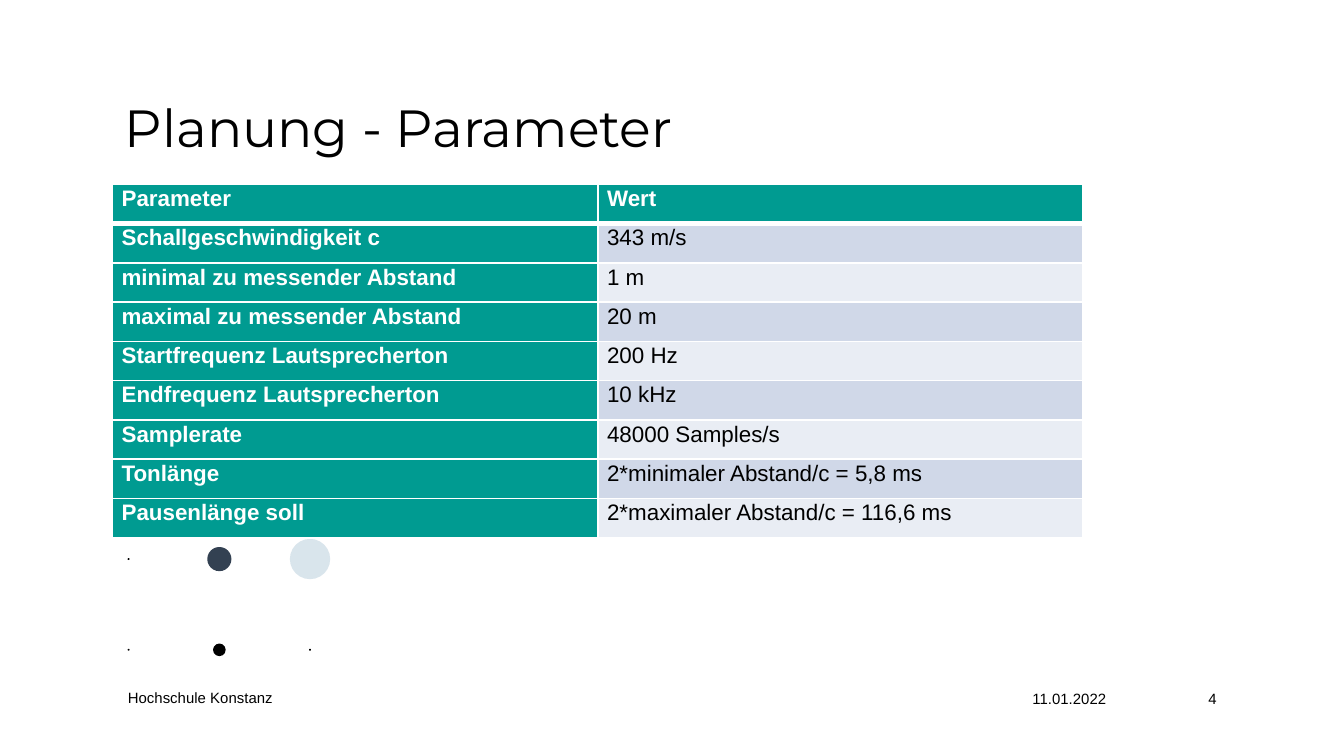
from lxml import etree
from pptx import Presentation
from pptx.dml.color import RGBColor
from pptx.enum.shapes import MSO_SHAPE
from pptx.enum.text import MSO_ANCHOR
from pptx.oxml.ns import qn
from pptx.util import Inches, Pt

OVAL = MSO_SHAPE.OVAL
TOP, MIDDLE = MSO_ANCHOR.TOP, MSO_ANCHOR.MIDDLE

COLORS = {
    "ink": "000000", "paper": "FFFFFF", "teal": "009B91", "navy": "334152",
    "mist": "D9E5EC", "odd": "D0D8E8", "even": "E9EDF4",
}
ROWS = [
    ("Parameter", "Wert"),
    ("Schallgeschwindigkeit c", "343 m/s"),
    ("minimal zu messender Abstand", "1 m"),
    ("maximal zu messender Abstand", "20 m"),
    ("Startfrequenz Lautsprecherton", "200 Hz"),
    ("Endfrequenz Lautsprecherton", "10 kHz"),
    ("Samplerate", "48000 Samples/s"),
    ("Tonlänge", "2*minimaler Abstand/c = 5,8 ms"),
    ("Pausenlänge soll", "2*maximaler Abstand/c = 116,6 ms"),
]
DOTS = [
    [(0.14, "ink"), (1.8, "navy"), (3, "mist")],
    [(0.14, "ink"), (0.94, "ink"), (0.14, "ink")],
]


class Deck:
    """Draws on one slide, with lengths in hundredths of the slide's width."""

    def __init__(self, width):
        self.deck = Presentation()
        self.deck.slide_width = Inches(width)
        self.deck.slide_height = Inches(width * 9 / 16)
        self.unit = self.deck.slide_width / 100
        self.slide = self.deck.slides.add_slide(self.deck.slide_layouts[6])

    def span(self, *sizes):
        return [round(size * self.unit) for size in sizes]

    def style(self, par, size, color, bold=False, face="Arial"):
        for run in par.runs:
            font = run.font
            font.name, font.size, font.bold = face, Pt(size), bold
            font.color.rgb = RGBColor.from_string(COLORS[color])

    def text(self, words, box, size=8, face="Arial", anchor=MIDDLE):
        frame = self.slide.shapes.add_textbox(*self.span(*box)).text_frame
        frame.word_wrap = True
        frame.vertical_anchor = anchor
        frame.text = words
        self.style(frame.paragraphs[0], size, "ink", face=face)

    def dot(self, x, y, size, color):
        box = self.span(x - size / 2, y - size / 2, size, size)
        dot = self.slide.shapes.add_shape(OVAL, *box)
        dot.shadow.inherit = False
        dot.fill.solid()
        dot.fill.fore_color.rgb = RGBColor.from_string(COLORS[color])
        dot.line.fill.background()

    def edge(self, cell, widths):
        props = cell._tc.get_or_add_tcPr()
        for spot, (side, width) in enumerate(widths.items()):
            line = etree.Element(qn(f"a:ln{side}"), w=str(Pt(width)))
            fill = etree.SubElement(line, qn("a:solidFill"))
            etree.SubElement(fill, qn("a:srgbClr"), val=COLORS["paper"])
            props.insert(spot, line)

    def cell(self, cell, words, row, col):
        head = row == 0 or col == 0
        cell.margin_left = cell.margin_right = self.span(0.7)[0]
        cell.margin_top = cell.margin_bottom = 0
        cell.fill.solid()
        shade = "teal" if head else "odd" if row % 2 else "even"
        cell.fill.fore_color.rgb = RGBColor.from_string(COLORS[shade])
        cell.text_frame.text = words
        par = cell.text_frame.paragraphs[0]
        par.line_spacing, par.space_after = 1.07, Pt(8)
        self.style(par, 12, "paper" if head else "ink", bold=head)
        self.edge(cell, {"L": 1, "R": 1, "T": 3 if row == 1 else 1,
                         "B": 3 if row == 0 else 1})

    def table(self, rows, box):
        shape = self.slide.shapes.add_table(len(rows), len(rows[0]), *self.span(*box))
        for row, words in enumerate(rows):
            for col, word in enumerate(words):
                self.cell(shape.table.cell(row, col), word, row, col)

    def save(self):
        self.deck.save("out.pptx")


def main():
    deck = Deck(10)
    deck.text("11.01.2022", (75.83, 50.9, 9.1, 2.2))
    deck.text("Hochschule Konstanz", (8.53, 50.6, 15.3, 2.6))
    deck.text("4", (88.93, 50.8, 8.7, 2.4), anchor=TOP)
    for row, dots in enumerate(DOTS):
        for col, (size, color) in enumerate(dots):
            deck.dot(9.57 + 6.75 * col, 41.6 + 6.75 * row, size, color)
    deck.text("Planung - Parameter", (8.3, 6.6, 82.1, 4.7), 28, "Montserrat", TOP)
    deck.table(ROWS, (8.35, 13.72, 72.25, 26.3))
    deck.save()


if __name__ == "__main__":
    main()
